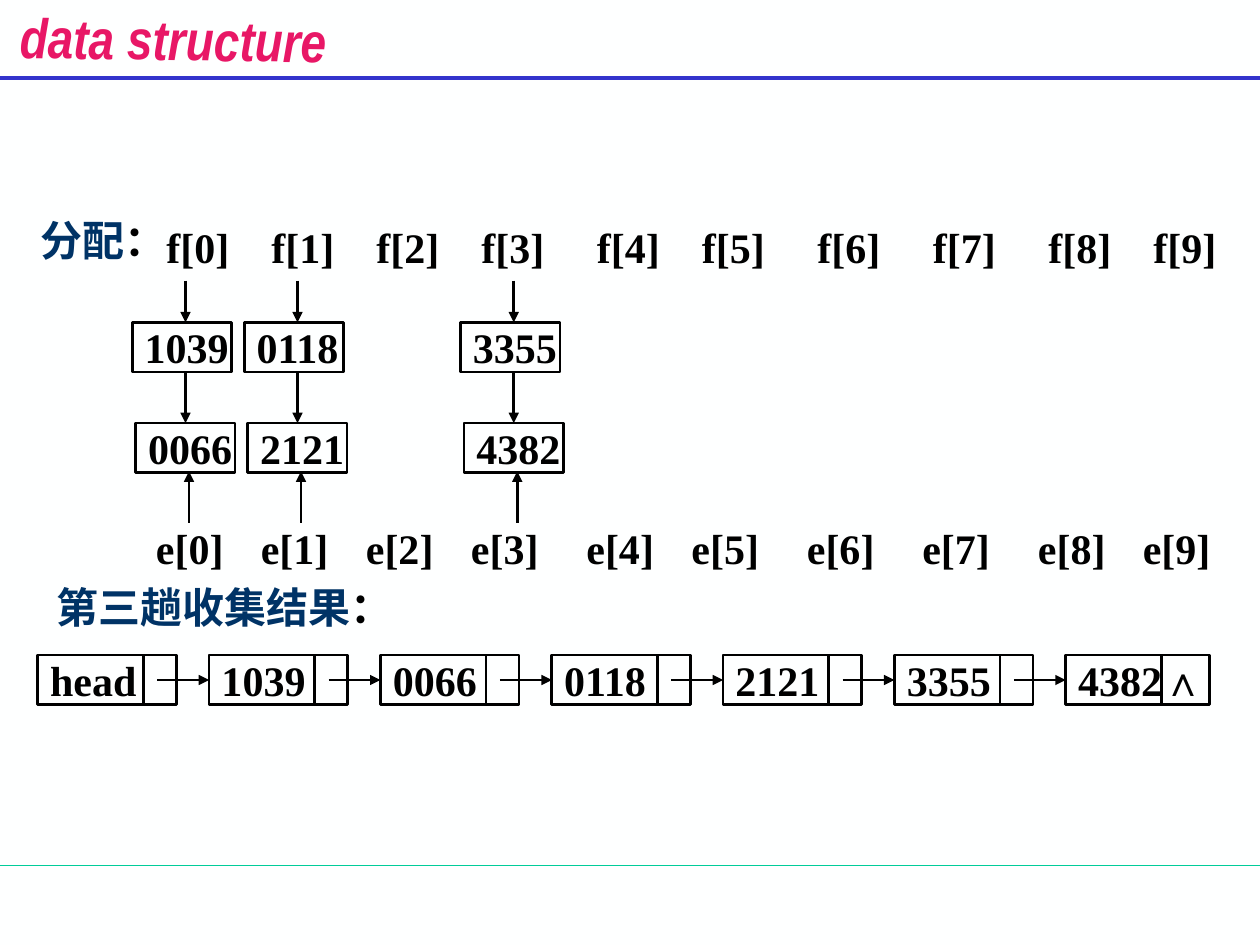
"""Build a slide showing the third pass of a radix sort: distribution and collection."""
from lxml.etree import SubElement
from pptx import Presentation
from pptx.dml.color import RGBColor
from pptx.enum.shapes import MSO_CONNECTOR, MSO_SHAPE
from pptx.enum.text import MSO_ANCHOR, PP_ALIGN
from pptx.oxml.ns import qn
from pptx.util import Pt

COLORS = {"paper": "FEFFFF", "title": "E81766", "rule": "3333CC",
          "footer": "00CC99", "ink": "000000", "label": "003366"}


def add_line(x1, y1, x2, y2, color="ink", width=1.5, arrow=False):
    """Draw a straight line, optionally with an arrowhead at its end."""
    line = page.shapes.add_connector(MSO_CONNECTOR.STRAIGHT, Pt(x1), Pt(y1), Pt(x2), Pt(y2))
    line.line.color.rgb = RGBColor.from_string(COLORS[color])
    line.line.width = Pt(width)
    if arrow:
        SubElement(line.line._get_or_add_ln(), qn("a:tailEnd"), type="triangle")
    SubElement(line._element.spPr, qn("a:effectLst"))
    return line


def add_box(left, top, width, parts, framed=False):
    """Place a label made of (text, color) parts, framed as a node if asked."""
    place = Pt(left), Pt(top), Pt(width), Pt(28.4)
    if framed:
        box = page.shapes.add_shape(MSO_SHAPE.RECTANGLE, *place)
        box.shadow.inherit = False
        box.fill.background()
        box.line.color.rgb = RGBColor.from_string(COLORS["ink"])
        box.line.width = Pt(1.5)
    else:
        box = page.shapes.add_textbox(*place)
    frame = box.text_frame
    frame.word_wrap = False
    frame.vertical_anchor = MSO_ANCHOR.MIDDLE
    frame.margin_right = 0
    para = frame.paragraphs[0]
    para.alignment = PP_ALIGN.LEFT
    for text, color in parts:
        span = para.add_run()
        span.text = text
        span.font.name = "Times New Roman"
        span.font.size = Pt(24)
        span.font.bold = True
        span.font.color.rgb = RGBColor.from_string(COLORS[color])
    return box


deck = Presentation()
deck.slide_width, deck.slide_height = Pt(720), Pt(540)
page = deck.slides.add_slide(deck.slide_layouts[5])
page.background.fill.solid()
page.background.fill.fore_color.rgb = RGBColor.from_string(COLORS["paper"])

add_line(0, 494.6, 720, 494.6, "footer", 0.75)
add_line(0, 44.6, 720, 44.6, "rule", 2.25)

title = page.shapes.title
title.left, title.top, title.width, title.height = Pt(4), Pt(-1), Pt(190), Pt(39)
title.rotation = 0.8
title.text_frame.text = "data structure"
title.text_frame.word_wrap = False
title.text_frame.margin_left = title.text_frame.margin_right = 0
title.text_frame.vertical_anchor = MSO_ANCHOR.TOP
heading = title.text_frame.paragraphs[0]
heading.alignment = PP_ALIGN.CENTER
for span in heading.runs:
    span.font.name = "Arial Narrow"
    span.font.size = Pt(32)
    span.font.bold = True
    span.font.italic = True
    span.font.color.rgb = RGBColor.from_string(COLORS["title"])

add_box(16, 122.8, 80, [("分配", "label"), ("：", "ink")])
add_box(25.2, 332.6, 200, [("第三趟收集结果", "label"), ("：", "ink")])

for digit, left in enumerate([88, 148, 208, 268, 334, 394, 460, 526, 592, 652]):
    add_box(left, 126.7, 54, [(f"f[{digit}]", "ink")])
    add_box(left - 6, 298.8, 54, [(f"e[{digit}]", "ink")])

for left, first, second in [(75.6, "1039", "0066"), (139.6, "0118", "2121"),
                            (263.2, "3355", "4382")]:
    center = left + 30.4
    add_box(left, 184.2, 56.8, [(first, "ink")], framed=True)
    lower = add_box(left + 2, 241.8, 56.8, [(second, "ink")], framed=True)
    add_line(center, 160.4, center, 184.2, arrow=True)
    link = add_line(center, 212.6, center, 241.8, arrow=True)
    link.end_connect(lower, 0)
    add_line(center + 2, 298.8, center + 2, 269.4, arrow=True)

chain = ["head", "1039", "0066", "0118", "2121", "3355", "4382∧"]
last = len(chain) - 1
for place, text in enumerate(chain):
    left = 21.6 + 97.9 * place
    node = add_box(left, 374.4, 82 if place == last else 79.2, [(text, "ink")], framed=True)
    divider = left + (54.8 if place == last else 60.4)
    add_line(divider, 374.4, divider, 402.8)
    if place > 0:
        link = add_line(left - 29.6, 388.6, left, 388.6, arrow=True)
        link.end_connect(node, 1)

deck.save("out.pptx")
